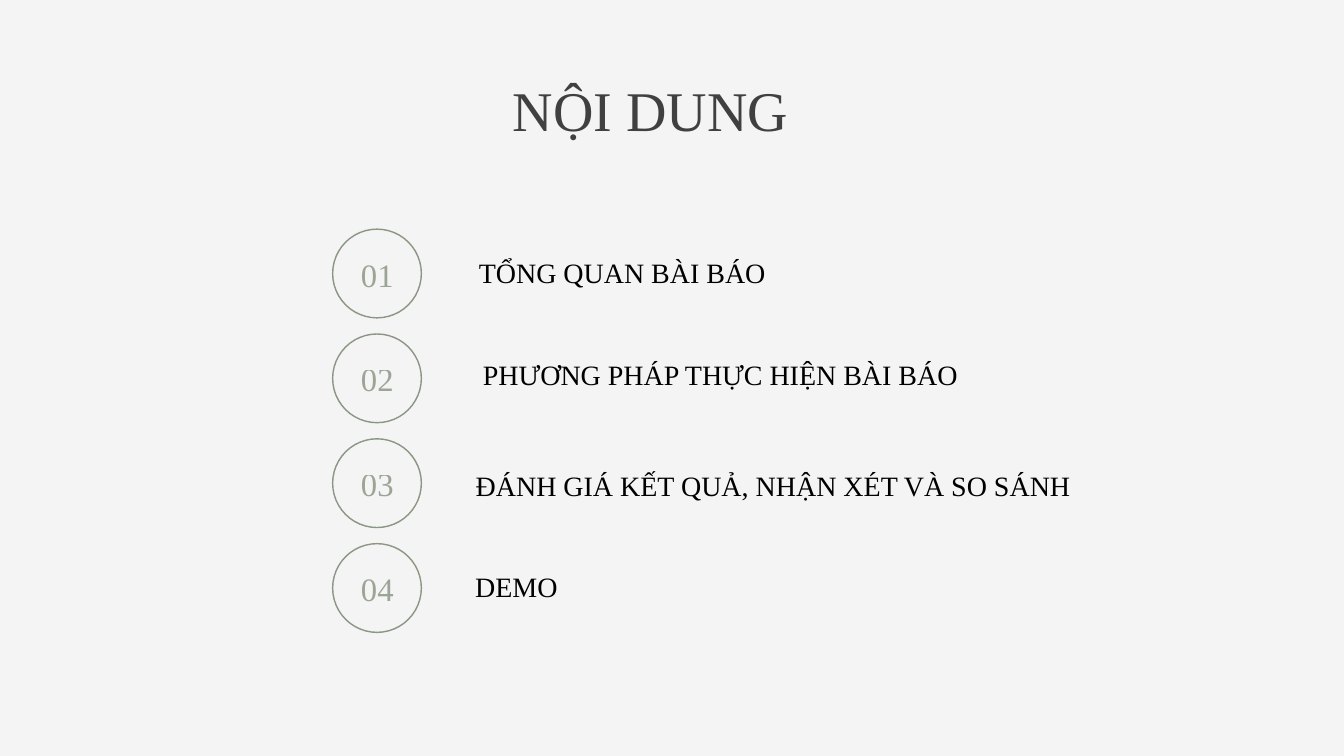
from lxml.etree import SubElement
from pptx import Presentation
from pptx.dml.color import RGBColor
from pptx.enum.shapes import MSO_SHAPE
from pptx.enum.text import MSO_ANCHOR, MSO_AUTO_SIZE, PP_ALIGN
from pptx.oxml.ns import qn
from pptx.util import Inches, Pt

FONT = "Times New Roman"
BACKGROUND = "F4F4F4"
TITLE_COLOR = "404040"
ITEM_COLOR = "000000"
SAGE = "8B9684"

FIRST_ROW_TOP = 3.41
ROW_PITCH = 1.56
CIRCLE_LEFT = 4.95
CIRCLE_SIZE = 1.32
NUMBER_LEFT = 5.21
NUMBER_OFFSET = 0.28
ITEM_LEFT = 7.03

AGENDA = [
    ("TỔNG QUAN BÀI BÁO", 3.8, 4.46),
    ("PHƯƠNG PHÁP THỰC HIỆN BÀI BÁO", 5.31, 7.38),
    ("ĐÁNH GIÁ KẾT QUẢ, NHẬN XÉT VÀ SO SÁNH", 6.96, 8.95),
    ("DEMO", 8.47, 1.31),
]


def set_color(color_format, hex_color, opacity=None):
    color_format.rgb = RGBColor.from_string(hex_color)
    if opacity is not None:
        color = color_format._xFill.find(qn("a:srgbClr"))
        SubElement(color, qn("a:alpha")).set("val", str(opacity * 1000))


def set_attributes(target, values):
    for name, value in values.items():
        setattr(target, name, value)


def add_text(slide, text, box, size, line_height, hex_color, opacity=None):
    shape = slide.shapes.add_textbox(*map(Inches, box))
    frame = shape.text_frame
    set_attributes(frame, {
        "margin_left": 0,
        "margin_top": 0,
        "margin_right": 0,
        "margin_bottom": 0,
        "word_wrap": True,
        "auto_size": MSO_AUTO_SIZE.SHAPE_TO_FIT_TEXT,
        "vertical_anchor": MSO_ANCHOR.TOP,
    })
    paragraph = frame.paragraphs[0]
    set_attributes(paragraph, {
        "alignment": PP_ALIGN.CENTER,
        "line_spacing": Pt(line_height),
    })
    run = paragraph.add_run()
    run.text = text
    set_attributes(run.font, {"name": FONT, "size": Pt(size)})
    run.font.fill.solid()
    set_color(run.font.fill.fore_color, hex_color, opacity)


def add_circle(slide, top):
    box = (CIRCLE_LEFT, top, CIRCLE_SIZE, CIRCLE_SIZE)
    shape = slide.shapes.add_shape(MSO_SHAPE.OVAL, *map(Inches, box))
    shape.shadow.inherit = False
    shape.fill.background()
    shape.line.width = Pt(1.5)
    set_color(shape.line.color, SAGE)


def add_agenda_row(slide, index, text, text_top, text_width):
    top = FIRST_ROW_TOP + index * ROW_PITCH
    add_circle(slide, top)
    number_box = (NUMBER_LEFT, top + NUMBER_OFFSET, 0.81, 0.63)
    add_text(slide, f"{index + 1:02d}", number_box, 35, 49, SAGE, 83)
    item_box = (ITEM_LEFT, text_top, text_width, 0.49)
    add_text(slide, text, item_box, 30, 36.6, ITEM_COLOR)


def main():
    presentation = Presentation()
    presentation.slide_width = Inches(20)
    presentation.slide_height = Inches(11.25)
    slide = presentation.slides.add_slide(presentation.slide_layouts[6])
    slide.background.fill.solid()
    set_color(slide.background.fill.fore_color, BACKGROUND)
    add_text(slide, "NỘI DUNG", (5.19, 1.11, 8.98, 0.97), 60, 73.2, TITLE_COLOR)
    for index, (text, text_top, text_width) in enumerate(AGENDA):
        add_agenda_row(slide, index, text, text_top, text_width)
    presentation.save("out.pptx")


if __name__ == "__main__":
    main()
